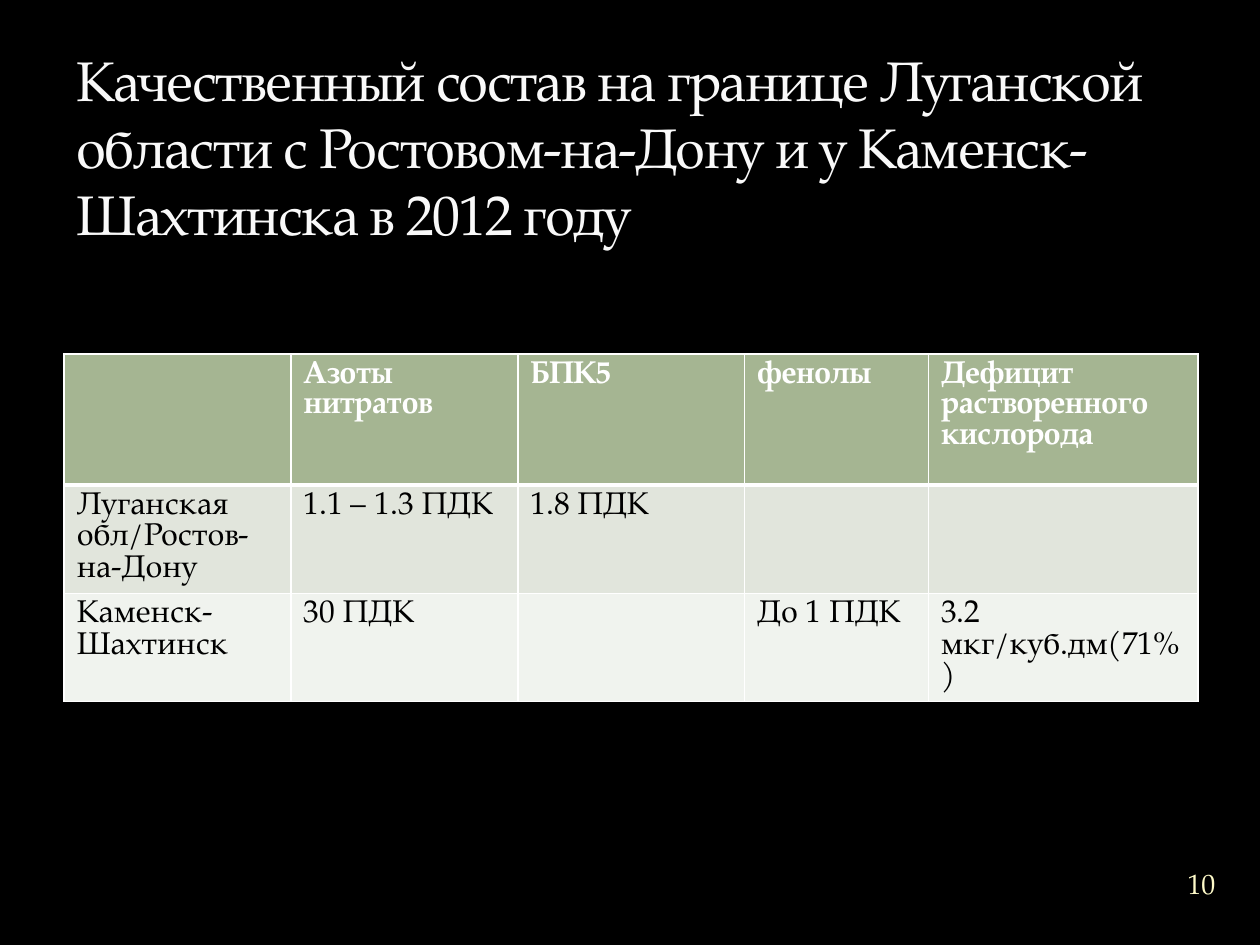
from lxml.etree import SubElement
from pptx import Presentation
from pptx.dml.color import RGBColor
from pptx.enum.text import MSO_ANCHOR, PP_ALIGN
from pptx.oxml.ns import qn
from pptx.util import Inches, Pt

FONT = "TeX Gyre Pagella"
COLORS = {
    "background": "000000",
    "title": "F9F9F9",
    "number": "FEFAC9",
    "header": "A5B592",
    "odd_row": "E1E5DC",
    "even_row": "F0F3EE",
    "border": "FFFFFF",
    "header_text": "FFFFFF",
    "body_text": "000000",
}
TITLE = ("Качественный состав на границе Луганской области "
         "с Ростовом-на-Дону и у Каменск-Шахтинска в 2012 году")
COLUMN_WIDTHS = [1.8, 1.8, 1.8, 1.46, 2.14]
ROW_HEIGHTS = [1.04, 0.86, 0.86]
ROWS = [
    ["", "Азоты нитратов", "БПК5", "фенолы", "Дефицит растворенного кислорода"],
    ["Луганская обл/Ростов-на-Дону", "1.1 – 1.3 ПДК", "1.8 ПДК", "", ""],
    ["Каменск-Шахтинск", "30 ПДК", "", "До 1 ПДК", "3.2 мкг/куб.дм(71%)"],
]


def color(name):
    return RGBColor.from_string(COLORS[name])


def style_paragraph(paragraph, size, color_name, bold=False):
    font = paragraph.font
    font.name, font.size, font.bold = FONT, Pt(size), bold
    font.color.rgb = color(color_name)


def add_text(slide, box, text, size, color_name, anchor):
    frame = slide.shapes.add_textbox(*map(Inches, box)).text_frame
    frame.word_wrap = True
    frame.vertical_anchor = anchor
    paragraph = frame.paragraphs[0]
    paragraph.text = text
    style_paragraph(paragraph, size, color_name)
    return frame


def add_title(slide, box):
    frame = add_text(slide, box, TITLE, 32, "title", MSO_ANCHOR.BOTTOM)
    run = frame.paragraphs[0].runs[0]
    run.font._element.set("spc", "-100")


def add_slide_number(slide, box):
    frame = add_text(slide, box, "10", 16, "number", MSO_ANCHOR.MIDDLE)
    frame.margin_left = frame.margin_right = 0
    frame.margin_top = frame.margin_bottom = 0
    frame.paragraphs[0].alignment = PP_ALIGN.CENTER


def set_borders(cell, widths):
    """Draw the left, right, top and bottom borders, before the cell fill."""
    properties = cell._tc.get_or_add_tcPr()
    for side, width in zip(("lnL", "lnR", "lnT", "lnB"), widths):
        line = SubElement(properties, qn(f"a:{side}"), w=str(Pt(width)))
        fill = SubElement(line, qn("a:solidFill"))
        SubElement(fill, qn("a:srgbClr"), val=COLORS["border"])


def add_quality_table(slide, box):
    table = slide.shapes.add_table(
        len(ROWS), len(COLUMN_WIDTHS), *map(Inches, box)).table
    for column, width in zip(table.columns, COLUMN_WIDTHS):
        column.width = Inches(width)
    row_fills = ["header", "odd_row", "even_row"]
    for i, (texts, height, fill) in enumerate(zip(ROWS, ROW_HEIGHTS, row_fills)):
        table.rows[i].height = Inches(height)
        is_header = i == 0
        top = 3 if i == 1 else 1
        bottom = 3 if is_header else 1
        for j, text in enumerate(texts):
            cell = table.cell(i, j)
            set_borders(cell, (1, 1, top, bottom))
            cell.fill.solid()
            cell.fill.fore_color.rgb = color(fill)
            cell.text = text
            style_paragraph(cell.text_frame.paragraphs[0], 18,
                            "header_text" if is_header else "body_text", is_header)


def main():
    presentation = Presentation()
    presentation.slide_width = Inches(10)
    presentation.slide_height = Inches(7.5)
    slide = presentation.slides.add_slide(presentation.slide_layouts[6])
    background = slide.background.fill
    background.solid()
    background.fore_color.rgb = color("background")
    add_quality_table(slide, (0.51, 2.81, 9, sum(ROW_HEIGHTS)))
    add_title(slide, (0.51, 0.68, 9, 1.33))
    add_slide_number(slide, (9.2, 6.76, 0.67, 0.5))
    presentation.save("out.pptx")


if __name__ == "__main__":
    main()
